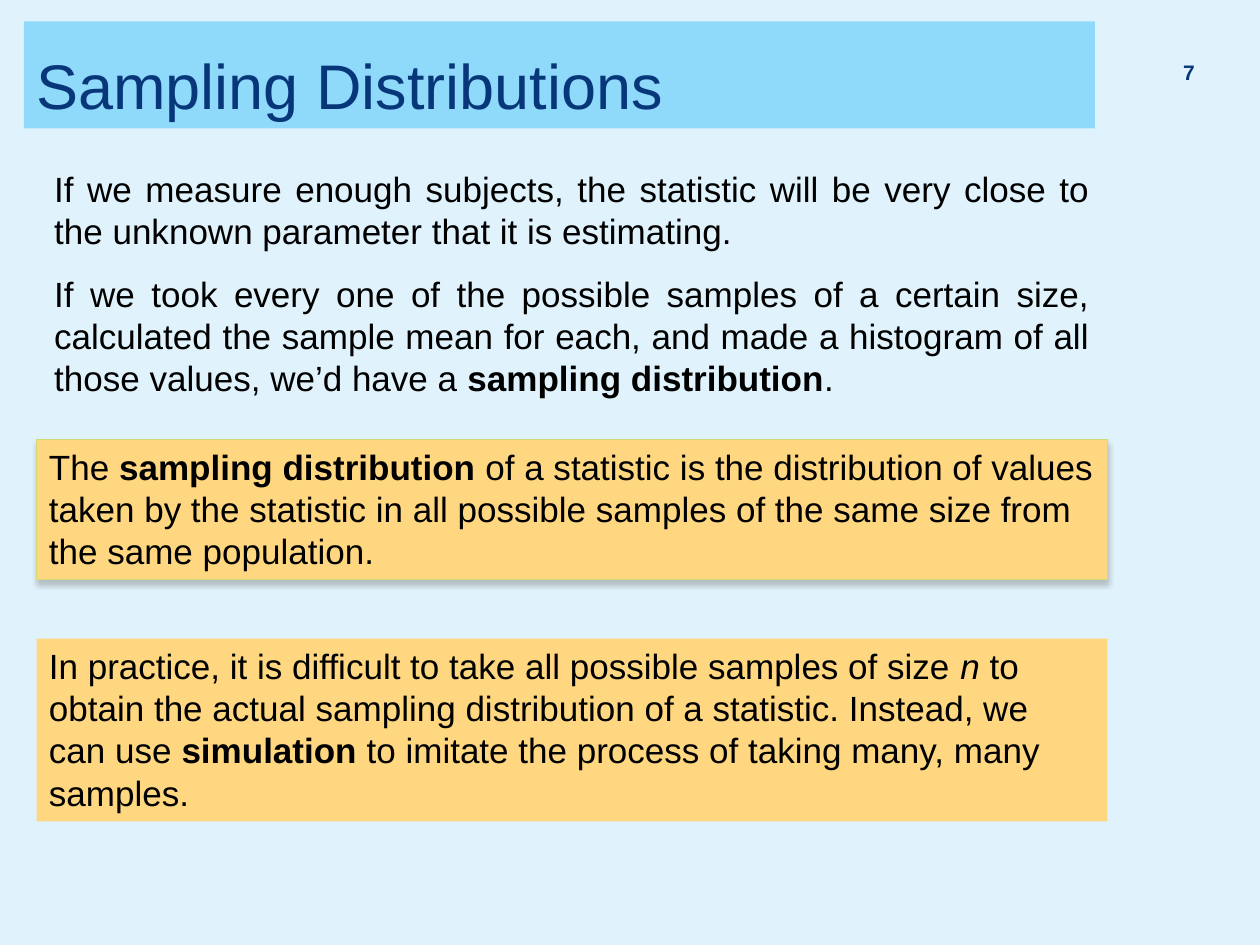
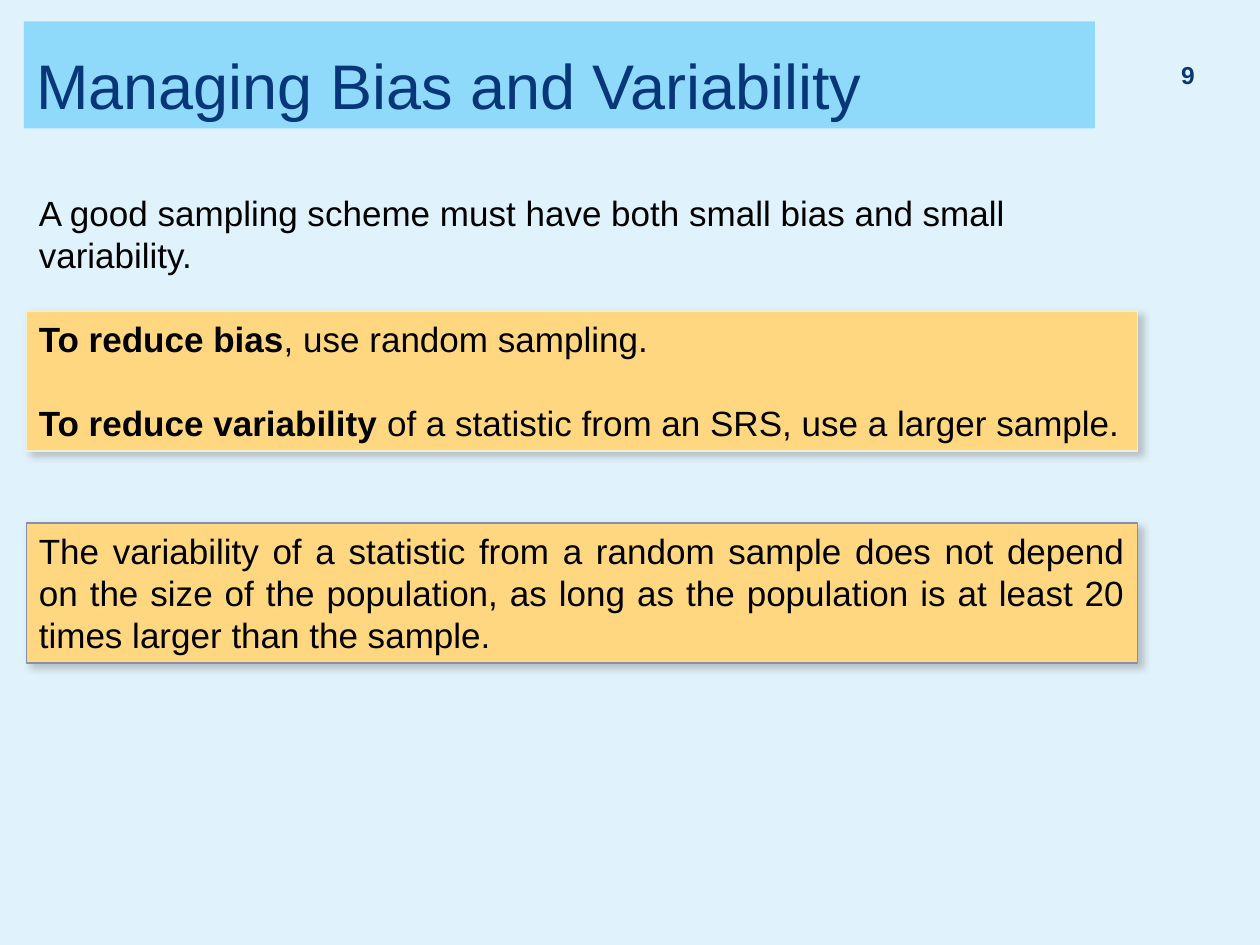
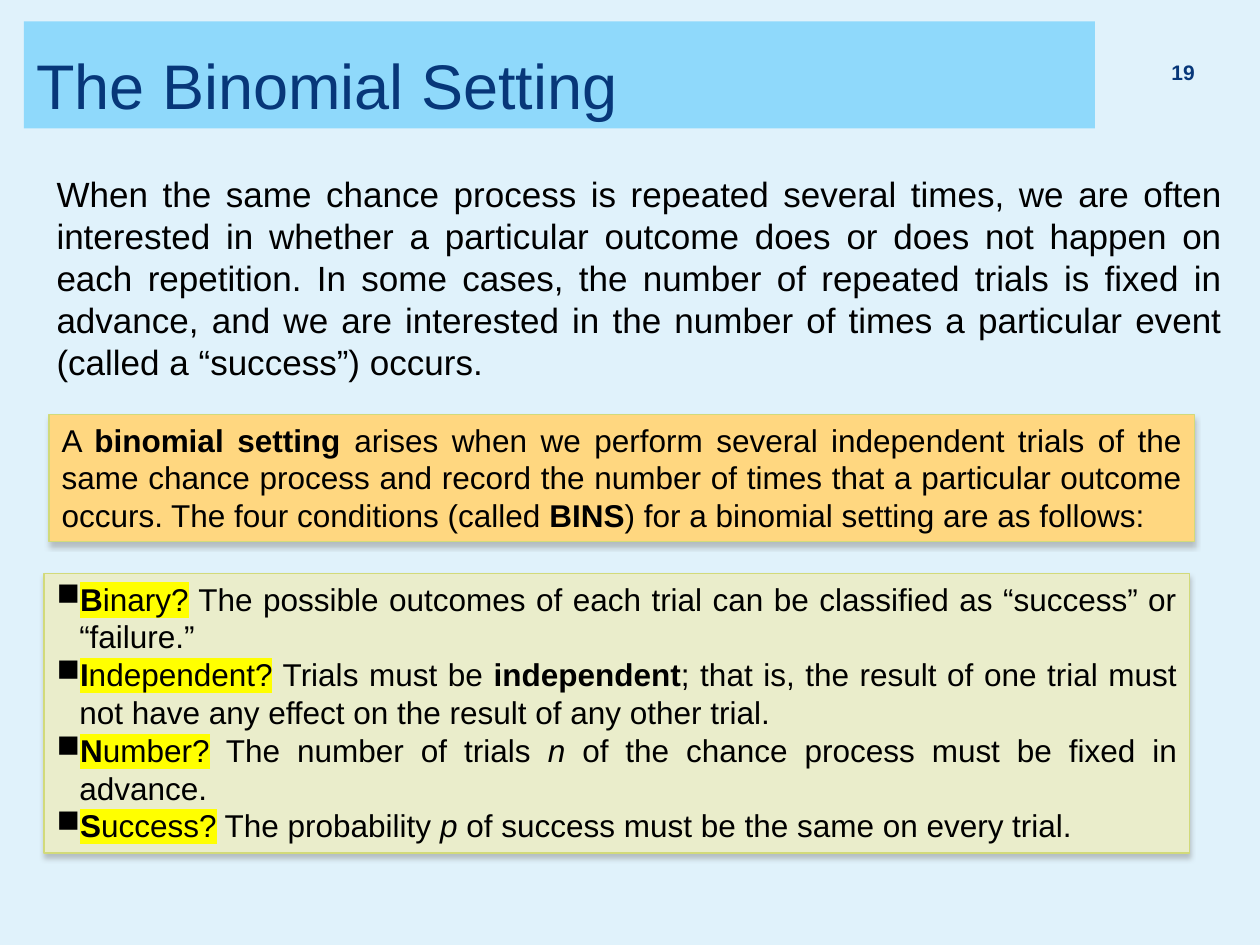
from lxml.etree import SubElement
from pptx import Presentation
from pptx.dml.color import RGBColor
from pptx.enum.shapes import MSO_SHAPE
from pptx.enum.text import MSO_ANCHOR, PP_ALIGN
from pptx.oxml.ns import qn
from pptx.util import Pt

FONT = "Arial"
PALE, SKY, NAVY, BLACK = "E0F2FB", "8FD9FB", "073779", "000000"
AMBER, SAGE, OLIVE, CREAM, SLATE = "FFD780", "EAEDCB", "D2DA7A", "EEEFD6", "8590B1"
YELLOW, GREY = "FFFF00", "808080"
DROP = dict(alpha=45, blur=3, dist=2.4, angle=90)
DIAGONAL = dict(alpha=43, blur=4, dist=3, angle=45)
JUSTIFY = PP_ALIGN.JUSTIFY


def rgb(value):
    """Return the colour for a hex string."""
    return RGBColor.from_string(value)


def add_bullet(p, indent=13, char="■"):
    """Give a paragraph a hanging bullet."""
    pPr = p._p.get_or_add_pPr()
    pPr.set("marL", str(Pt(indent)))
    pPr.set("indent", str(-Pt(indent)))
    SubElement(pPr, qn("a:buChar")).set("char", char)


def add_highlight(r, color):
    """Put a highlight colour behind a run."""
    rPr = r._r.get_or_add_rPr()
    mark = SubElement(rPr, qn("a:highlight"))
    SubElement(mark, qn("a:srgbClr")).set("val", color)
    rPr.find(qn("a:solidFill")).addnext(mark)


def add_shadow(sp, alpha, blur, dist, angle):
    """Give a shape an outer shadow."""
    effects = sp._element.spPr.find(qn("a:effectLst"))
    shadow = SubElement(effects, qn("a:outerShdw"), blurRad=str(Pt(blur)),
                        dist=str(Pt(dist)), dir=str(angle * 60000),
                        algn="tl", rotWithShape="0")
    color = SubElement(shadow, qn("a:srgbClr"), val=GREY)
    SubElement(color, qn("a:alpha"), val=str(alpha * 1000))


def write(sp, paragraphs, size=20, color=BLACK, bold=False, align=PP_ALIGN.LEFT,
          anchor=MSO_ANCHOR.TOP, gap=0, leading=None, bullets=False):
    """Fill a shape with paragraphs of strings and (text, flags) runs."""
    tf = sp.text_frame
    tf.word_wrap = True
    tf.vertical_anchor = anchor
    for i, runs in enumerate(paragraphs):
        p = tf.add_paragraph() if i else tf.paragraphs[0]
        if bullets:
            add_bullet(p)
        p.alignment = align
        if leading:
            p.line_spacing = leading
        if i and gap:
            p.space_before = Pt(gap)
        for run in runs:
            text, flags = (run, "") if isinstance(run, str) else run
            r = p.add_run()
            r.text = text
            r.font.name = FONT
            r.font.size = Pt(size)
            r.font.bold = bold or "b" in flags
            r.font.italic = "i" in flags
            r.font.color.rgb = rgb(color)
            if "h" in flags:
                add_highlight(r, YELLOW)


def add_text(s, box, paragraphs, **style):
    """Add a plain text box."""
    write(s.shapes.add_textbox(*map(Pt, box)), paragraphs, **style)


def add_panel(s, box, paragraphs, fill=AMBER, line=None, weight=0.8,
              shadow=None, **style):
    """Add a filled rectangle with text."""
    sp = s.shapes.add_shape(MSO_SHAPE.RECTANGLE, *map(Pt, box))
    sp.shadow.inherit = False
    sp.fill.solid()
    sp.fill.fore_color.rgb = rgb(fill)
    if line:
        sp.line.color.rgb = rgb(line)
        sp.line.width = Pt(weight)
    else:
        sp.line.fill.background()
    if shadow:
        add_shadow(sp, **shadow)
    write(sp, paragraphs, **style)


def add_header(s, box, title, number, size=12, leading=0.8):
    """Add the title band and the slide number at its right."""
    x, y, w, h = box
    add_panel(s, box, [[title]], fill=SKY, size=36, color=NAVY,
              anchor=MSO_ANCHOR.BOTTOM)
    add_text(s, (x + w + 24.5, y + 15.9, 39.6, 28.8), [[number]], size=size,
             color=NAVY, bold=True, align=PP_ALIGN.RIGHT,
             anchor=MSO_ANCHOR.MIDDLE, leading=leading)


def new_slide(prs, title, number, **number_style):
    """Add a blank slide with the shared background and header."""
    s = prs.slides.add_slide(prs.slide_layouts[6])
    s.background.fill.solid()
    s.background.fill.fore_color.rgb = rgb(PALE)
    add_header(s, (13.7, 12.2, 612, 61.2), title, number, **number_style)
    return s


def sampling_body(s, box):
    """Add the text and two definitions on sampling distributions."""
    x, y, w, h = box
    add_text(s, (x + 3, y, w - 6, 140.4), [
        ["If we measure enough subjects, the statistic will be very close to "
         "the unknown parameter that it is estimating."],
        ["If we took every one of the possible samples of a certain size, "
         "calculated the sample mean for each, and made a histogram of all "
         "those values, we’d have a ", ("sampling distribution", "b"), "."],
    ], align=JUSTIFY, gap=12)
    add_panel(s, (x, y + 159.1, w, 80), [
        ["The ", ("sampling distribution ", "b"),
         "of a statistic is the distribution of values taken by the statistic "
         "in all possible samples of the same size from the same population."],
    ], line=OLIVE, shadow=DROP)
    add_panel(s, (x, y + h - 104.4, w, 104.4), [
        ["In practice, it is difficult to take all possible samples of size ",
         ("n", "i"), " to obtain the actual sampling distribution of a "
         "statistic. Instead, we can use ", ("simulation ", "b"),
         "to imitate the process of taking many, many samples."],
    ])


def bias_body(s, box):
    """Add the advice on bias and variability."""
    x, y, w, h = box
    add_text(s, (x, y, 612, 55.4), [
        ["A good sampling scheme must have both small bias and small variability."],
    ])
    add_panel(s, (x, y + 72, w, 80), [
        [("To reduce bias", "b"), ", use random sampling."],
        [("To reduce variability ", "b"),
         "of a statistic from an SRS, use a larger sample."],
    ], line=CREAM, weight=1, shadow=DIAGONAL, gap=24)
    add_panel(s, (x, y + h - 80, w, 80), [
        ["The variability of a statistic from a random sample does not depend "
         "on the size of the population, as long as the population is at least "
         "20 times larger than the sample."],
    ], line=SLATE, weight=1, shadow=DIAGONAL, align=JUSTIFY)


def binomial_body(s, box):
    """Add the binomial setting and its four conditions."""
    x, y, w, h = box
    add_text(s, (x, y, w + 26, 124.6), [
        ["When the same chance process is repeated several times, we are often "
         "interested in whether a particular outcome does or does not happen "
         "on each repetition. In some cases, the number of repeated trials is "
         "fixed in advance, and we are interested in the number of times a "
         "particular event (called a “success”) occurs."],
    ], align=JUSTIFY)
    style = dict(line=OLIVE, shadow=DROP, size=18, align=JUSTIFY)
    add_panel(s, (x + 2.9, y + 141.8, w, 72.7), [
        ["A ", ("binomial setting ", "b"),
         "arises when we perform several independent trials of the same chance "
         "process and record the number of times that a particular outcome "
         "occurs. The four conditions (called ", ("BINS", "b"),
         ") for a binomial setting are as follows:"],
    ], **style)
    conditions = [
        ("Binary?", "The possible outcomes of each trial can be classified as "
         "“success” or “failure.”"),
        ("Independent?", "Trials must be ", ("independent", "b"),
         "; that is, the result of one trial must not have any effect on the "
         "result of any other trial."),
        ("Number?", "The number of trials ", ("n ", "i"),
         "of the chance process must be fixed in advance."),
        ("Success?", "The probability ", ("p ", "i"),
         "of success must be the same on every trial."),
    ]
    add_panel(s, (x, y + h - 159.8, w, 159.8), [
        [(word[0], "bh"), (word[1:], "h"), " ", *rest]
        for word, *rest in conditions
    ], fill=SAGE, bullets=True, **style)


def main():
    """Build the three slides and save them."""
    prs = Presentation()
    prs.slide_width, prs.slide_height = Pt(720), Pt(540)
    s = new_slide(prs, "Sampling Distributions", "7")
    sampling_body(s, (20.9, 92.2, 612, 377.2))
    s = new_slide(prs, "Managing Bias and Variability", "9", size=14, leading=None)
    bias_body(s, (15.1, 105.8, 635, 273))
    s = new_slide(prs, "The Binomial Setting", "19")
    binomial_body(s, (25.2, 95, 654.5, 392.4))
    prs.save("out.pptx")


if __name__ == "__main__":
    main()
